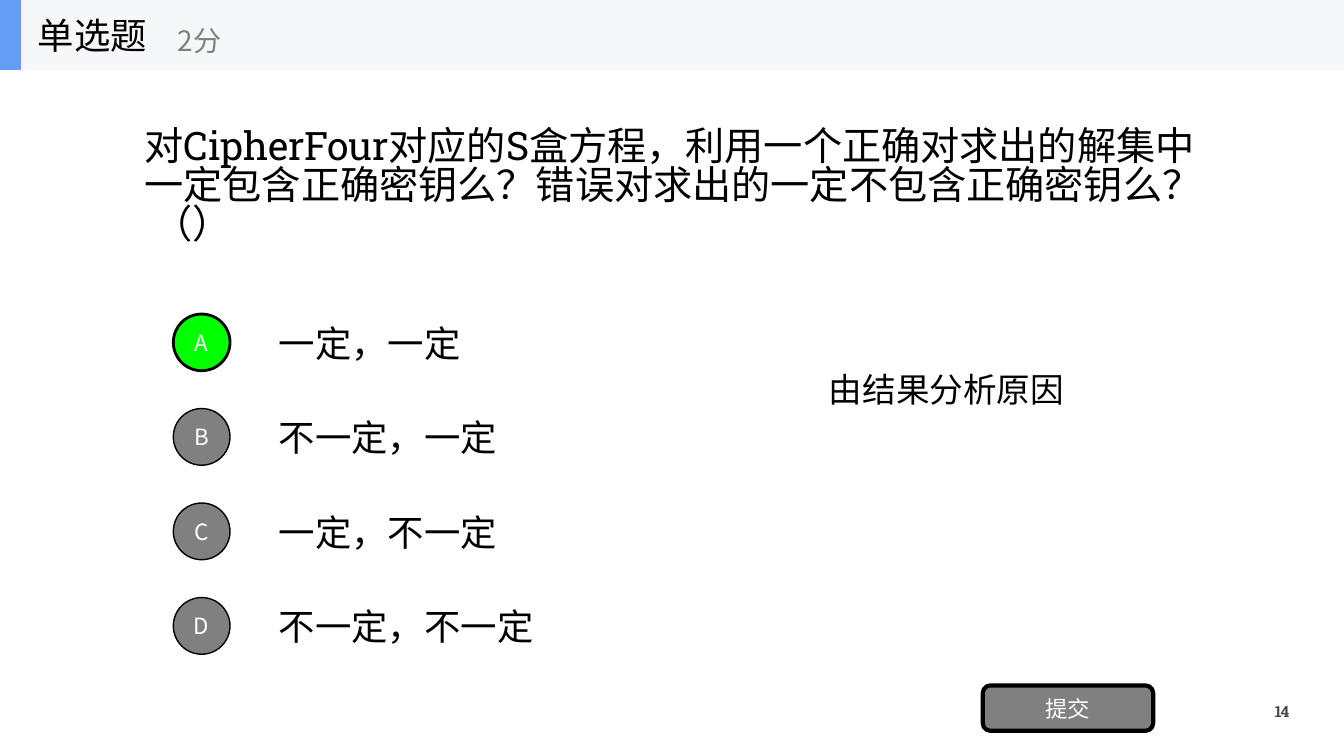
import dataclasses

import pptx
import pptx.dml.color
import pptx.enum.shapes
import pptx.enum.text
import pptx.oxml
import pptx.oxml.ns
import pptx.util

Pt = pptx.util.Pt
RGB = pptx.dml.color.RGBColor.from_string
Shape = pptx.enum.shapes.MSO_SHAPE
Align = pptx.enum.text.PP_ALIGN
Anchor = pptx.enum.text.MSO_ANCHOR


@dataclasses.dataclass(frozen=True)
class Theme:
    sans: str = "Noto Sans CJK SC"
    slab: str = "Roboto Slab"
    black: str = "000000"
    white: str = "FFFFFF"
    gray: str = "808080"
    green: str = "00FF00"
    blue: str = "639EF4"
    header: str = "F6F7F8"
    number: str = "464653"
    question_size: int = 28
    option_size: int = 26
    note_size: int = 24
    score_size: int = 20
    button_size: int = 16
    number_size: int = 11


THEME = Theme()
OPTIONS = ["一定，一定", "不一定，一定", "一定，不一定", "不一定，不一定"]
CHOSEN = 0
OPTION_TOP = 219.6
OPTION_PITCH = 67.5


def write_text(shape, text, size, color, font=THEME.sans, align=Align.LEFT,
               anchor=Anchor.MIDDLE):
    """Fill the shape with one formatted run and return that run."""
    frame = shape.text_frame
    frame.word_wrap = True
    frame.vertical_anchor = anchor
    paragraph = frame.paragraphs[0]
    paragraph.alignment = align
    run = paragraph.add_run()
    run.text = text
    run.font.size = Pt(size)
    run.font.name = font
    run.font.color.rgb = RGB(color)
    east_asian = pptx.oxml.parse_xml(
        f'<a:ea {pptx.oxml.ns.nsdecls("a")} typeface="{THEME.sans}"/>')
    run.font._element.find(pptx.oxml.ns.qn("a:latin")).addnext(east_asian)
    return run


def add_text(slide, box, text, size, color, **style):
    shape = slide.shapes.add_textbox(*map(Pt, box))
    return write_text(shape, text, size, color, **style)


def add_block(slide, kind, box, fill, line_width=0):
    shape = slide.shapes.add_shape(kind, *map(Pt, box))
    shape.shadow.inherit = False
    shape.fill.solid()
    shape.fill.fore_color.rgb = RGB(fill)
    if line_width:
        shape.line.color.rgb = RGB(THEME.black)
        shape.line.width = Pt(line_width)
    else:
        shape.line.fill.background()
    return shape


def add_button(slide, kind, box, text, fill, line_width):
    shape = add_block(slide, kind, box, fill, line_width)
    frame = shape.text_frame
    frame.margin_left = frame.margin_right = 0
    write_text(shape, text, THEME.button_size, THEME.white, align=Align.CENTER)


def add_question(slide, text):
    title = slide.shapes.title
    title.left, title.top, title.width, title.height = map(Pt, (96, 49.7, 768, 168.5))
    write_text(title, text, THEME.question_size, THEME.black, font=THEME.slab)
    title.text_frame.auto_size = pptx.enum.text.MSO_AUTO_SIZE.NONE
    title.text_frame.paragraphs[0].line_spacing = 0.83


def add_options(slide):
    for index, text in enumerate(OPTIONS):
        top = OPTION_TOP + index * OPTION_PITCH
        chosen = index == CHOSEN
        add_text(slide, (192, top, 672, 50.4), text, THEME.option_size, THEME.black)
        add_button(slide, Shape.OVAL, (123.8, top + 4.7, 40.5, 40.5), "ABCD"[index],
                   THEME.green if chosen else THEME.gray, 2 if chosen else 1)


def add_header(slide):
    add_block(slide, Shape.RECTANGLE, (0, 0, 960, 50), THEME.header)
    add_block(slide, Shape.RECTANGLE, (0, 0, 15, 50), THEME.blue)
    add_text(slide, (20, 0, 150, 50), "单选题", THEME.option_size, THEME.black)
    add_text(slide, (120, 8.6, 180, 40), "2分", THEME.score_size, THEME.gray)


def add_slide_number(slide, number):
    run = add_text(slide, (890.6, 494, 50.4, 28.8), number, THEME.number_size,
                   THEME.number, font=THEME.slab, align=Align.CENTER)
    run.font.bold = True
    run.font._element.set("spc", "-70")


def main():
    presentation = pptx.Presentation()
    presentation.slide_width, presentation.slide_height = Pt(960), Pt(540)
    slide = presentation.slides.add_slide(presentation.slide_layouts[5])
    add_slide_number(slide, "14")
    add_question(slide, "对CipherFour对应的S盒方程，利用一个正确对求出的解集中一定包含"
                        "正确密钥么？错误对求出的一定不包含正确密钥么？ （）")
    add_options(slide)
    add_button(slide, Shape.ROUNDED_RECTANGLE, (702, 489.6, 121.7, 32.4), "提交",
               THEME.gray, 3)
    add_text(slide, (583.9, 259.9, 184.3, 36), "由结果分析原因", THEME.note_size,
             THEME.black, align=Align.CENTER, anchor=Anchor.TOP)
    add_header(slide)
    presentation.save("out.pptx")


if __name__ == "__main__":
    main()
